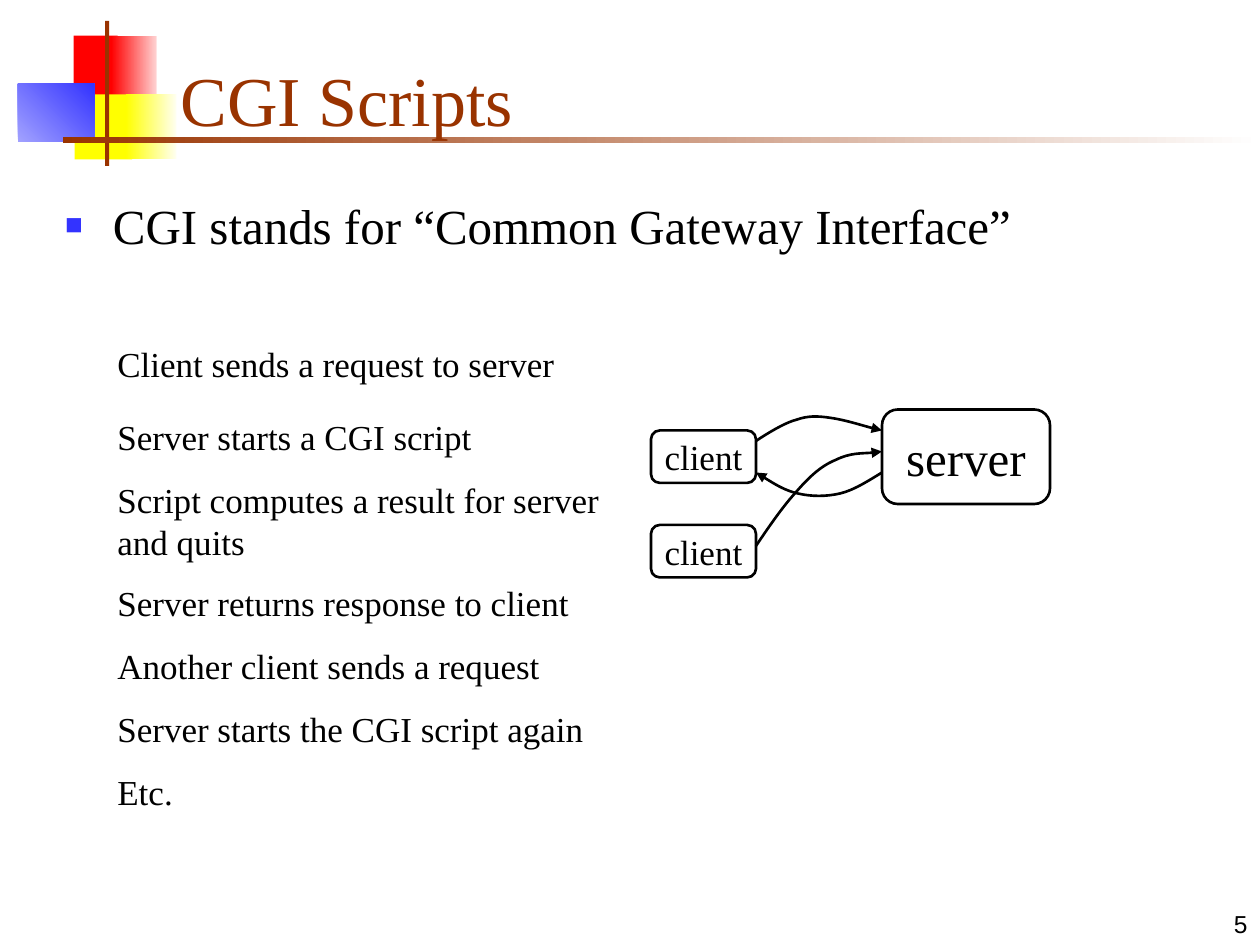
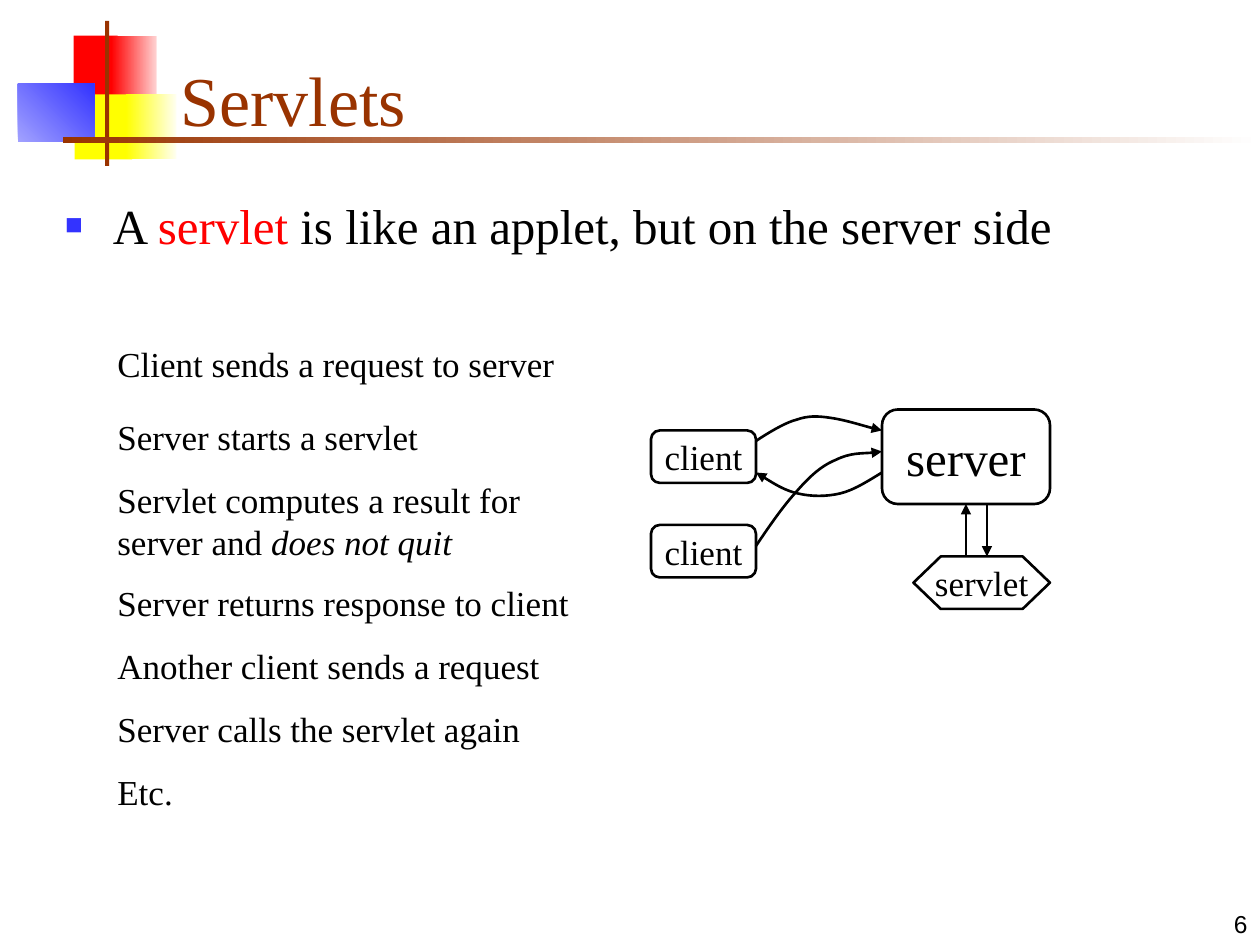
from typing import NamedTuple

from lxml import etree
from pptx import Presentation
from pptx.dml.color import RGBColor
from pptx.enum.shapes import MSO_CONNECTOR, MSO_SHAPE
from pptx.enum.text import MSO_ANCHOR, MSO_AUTO_SIZE, PP_ALIGN
from pptx.oxml.ns import qn
from pptx.util import Inches, Pt

RECTANGLE = MSO_SHAPE.RECTANGLE
ROUNDED = MSO_SHAPE.FLOWCHART_ALTERNATE_PROCESS
HEXAGON = MSO_SHAPE.FLOWCHART_PREPARATION
STRAIGHT = MSO_CONNECTOR.STRAIGHT
LEFT, CENTER, RIGHT = PP_ALIGN.LEFT, PP_ALIGN.CENTER, PP_ALIGN.RIGHT
TOP, MIDDLE, BOTTOM = MSO_ANCHOR.TOP, MSO_ANCHOR.MIDDLE, MSO_ANCHOR.BOTTOM

COLORS = {
    "ink": "000000", "white": "FFFFFF", "brown": "993300",
    "red": "FF0000", "pink": "FFD1D1", "yellow": "FFFF00", "cream": "FFFFF0",
    "blue": "3333FF", "lilac": "A2A2FF",
}
SERIF, SANS = "Times New Roman", "Arial"

# The slide is a grid of 120 columns by 90 rows
SLIDE_WIDTH, SLIDE_HEIGHT = Inches(10), Inches(7.5)
COLUMNS, ROWS = 120, 90
FIRST_PAGE = 5


class Area(NamedTuple):
    col: float
    row: float
    cols: float
    rows: float


class Run(NamedTuple):
    text: str
    color: str = "ink"
    italic: bool = False


class Ornament(NamedTuple):
    area: Area
    color: str
    fade_to: str = ""
    angle: int = 0


class Node(NamedTuple):
    label: str
    area: Area
    outline: int = ROUNDED
    size: int = 20


class Topic(NamedTuple):
    title: str
    definition: list[Run]
    steps: list[list[Run]]
    nodes: list[Node]
    arrows: list[tuple]


ORNAMENTS = [
    Ornament(Area(7, 3.4, 4.2, 6.2), "red"),
    Ornament(Area(10.6, 3.4, 4.3, 6.2), "red", "pink"),
    Ornament(Area(7.1, 9, 5.5, 6.2), "yellow"),
    Ornament(Area(12, 9, 4.8, 6.2), "yellow", "cream"),
    Ornament(Area(1.7, 8, 7.3, 5.5), "lilac", "blue", 45),
    Ornament(Area(10, 2, 0.4, 13.8), "brown"),
    Ornament(Area(6, 13, 114, 0.6), "brown", "white"),
]

TITLE_AREA = Area(16, 3, 102.2, 11)
DEFINITION_AREA = Area(5, 18, 112.5, 8.2)
PAGE_AREA = Area(95, 84, 25, 6)
LINE, TWO_LINES = 5.3, 9.2
STEP_AREAS = [
    Area(10, 32, 47, LINE),
    Area(10, 39, 47, LINE),
    Area(10, 45, 49, TWO_LINES),
    *(Area(10, 54.8 + 6 * i, 49 if i == 1 else 47, LINE) for i in range(4)),
]

EXCHANGE_NODES = [
    Node("client", Area(62, 41, 10, 5)),
    Node("server", Area(84, 39, 16, 9), size=28),
    Node("client", Area(62, 50, 10, 5)),
]
SERVLET_NODE = Node("servlet", Area(87, 53, 13, 5), HEXAGON)
SERVLET_ARROWS = [((92, 53), (92, 48)), ((94, 48), (94, 53))]

# Start point, then three Bezier points for each segment
EXCHANGE_CURVES = [
    [(72, 42), (72.6, 41.6), (74.6, 40.3), (75.8, 40),
     (76.9, 39.6), (77.8, 39.6), (79.1, 39.8),
     (80.5, 40), (83, 40.8), (84, 41)],
    [(84, 45), (82.7, 45.8), (81.3, 46.7), (80, 47),
     (78.7, 47.3), (77.3, 47.3), (76, 47),
     (74.7, 46.7), (73.3, 45.8), (72, 45)],
    [(72, 52), (72.6, 51.1), (74.4, 48.4), (75.7, 47),
     (76.9, 45.6), (78.1, 44.4), (79.6, 43.8),
     (81, 43.1), (83, 43.2), (84, 43)],
]


def exchange_steps(start: str, compute: list[Run], again: str) -> list[list[Run]]:
    """The seven steps; only the server's handling differs by topic."""
    return [
        [Run("Client sends a request to server")],
        [Run(start)],
        compute,
        [Run("Server returns response to client")],
        [Run("Another client sends a request")],
        [Run(again)],
        [Run("Etc.")],
    ]


TOPICS = [
    Topic(
        "CGI Scripts",
        [Run("CGI stands for “Common Gateway Interface”")],
        exchange_steps(
            "Server starts a CGI script",
            [Run("Script computes a result for server and quits")],
            "Server starts the CGI script again",
        ),
        EXCHANGE_NODES,
        [],
    ),
    Topic(
        "Servlets",
        [Run("A "), Run("servlet", "red"),
         Run(" is like an applet, but on the server side")],
        exchange_steps(
            "Server starts a servlet",
            [Run("Servlet computes a result for server and "),
             Run("does not quit", italic=True)],
            "Server calls the servlet again",
        ),
        [*EXCHANGE_NODES, SERVLET_NODE],
        SERVLET_ARROWS,
    ),
]


def rgb(name: str) -> RGBColor:
    return RGBColor.from_string(COLORS[name])


def point(col: float, row: float) -> tuple[int, int]:
    return round(SLIDE_WIDTH * col / COLUMNS), round(SLIDE_HEIGHT * row / ROWS)


def box(area: Area) -> tuple[int, int, int, int]:
    return *point(area.col, area.row), *point(area.cols, area.rows)


def place(shape, area: Area) -> None:
    shape.left, shape.top, shape.width, shape.height = box(area)


def write(frame, runs: list[Run], *, size: int, font: str = SERIF, align=LEFT,
          anchor=TOP, before: float = 0, wrap: bool = True):
    """Fill a text frame with one formatted paragraph and return it."""
    frame.word_wrap = wrap
    frame.auto_size = MSO_AUTO_SIZE.NONE
    frame.vertical_anchor = anchor
    paragraph = frame.paragraphs[0]
    paragraph.alignment = align
    paragraph.space_before = Pt(before)
    for part in runs:
        run = paragraph.add_run()
        run.text = part.text
        run.font.name, run.font.size = font, Pt(size)
        run.font.italic = part.italic
        run.font.color.rgb = rgb(part.color)
    return paragraph


def add_square_bullet(paragraph) -> None:
    properties = paragraph._p.get_or_add_pPr()
    indent = Inches(0.38)
    properties.set("marL", str(indent))
    properties.set("indent", str(-indent))
    color = etree.SubElement(properties, qn("a:buClr"))
    etree.SubElement(color, qn("a:srgbClr"), val=COLORS["blue"])
    etree.SubElement(properties, qn("a:buSzPct"), val="60000")
    etree.SubElement(properties, qn("a:buChar"), char="■")


def draw_line(shape, arrow: bool = False) -> None:
    shape.line.color.rgb = rgb("ink")
    shape.line.width = Pt(1.5)
    if arrow:
        outline = shape.element.xpath(".//a:ln")[0]
        etree.SubElement(outline, qn("a:tailEnd"), type="triangle")


def add_ornament(slide, ornament: Ornament):
    shape = slide.shapes.add_shape(RECTANGLE, *box(ornament.area))
    shape.shadow.inherit = False
    shape.line.fill.background()
    if ornament.fade_to:
        shape.fill.gradient()
        shape.fill.gradient_angle = ornament.angle
        ends = (ornament.color, ornament.fade_to)
        for position, (stop, name) in enumerate(zip(shape.fill.gradient_stops, ends)):
            stop.position = position
            stop.color.rgb = rgb(name)
    else:
        shape.fill.solid()
        shape.fill.fore_color.rgb = rgb(ornament.color)
    return shape


def decorate_layout(slide) -> None:
    """Put the ornaments on the slide's layout, behind its placeholders."""
    tree = slide.slide_layout.shapes.element
    for index, ornament in enumerate(ORNAMENTS):
        element = add_ornament(slide, ornament).element
        element.nvSpPr.cNvPr.set("id", str(100 + index))
        tree.insert(2 + index, element)


def add_node(slide, node: Node) -> None:
    shape = slide.shapes.add_shape(node.outline, *box(node.area))
    shape.shadow.inherit = False
    shape.fill.background()
    draw_line(shape)
    write(shape.text_frame, [Run(node.label)], size=node.size,
          align=CENTER, anchor=MIDDLE, wrap=False)


def add_curve(slide, points: list[tuple]) -> None:
    start, *rest = [point(*p) for p in points]
    builder = slide.shapes.build_freeform(*start)
    builder.add_line_segments(rest, close=False)
    curve = builder.convert_to_shape()
    curve.shadow.inherit = False
    curve.fill.background()
    draw_line(curve, arrow=True)
    # Join every three line ends into one Bezier segment
    segments = curve.element.xpath(".//a:lnTo")
    for i in range(0, len(segments), 3):
        bezier = etree.SubElement(segments[i].getparent(), qn("a:cubicBezTo"))
        for segment in segments[i:i + 3]:
            bezier.append(segment[0])
            segment.getparent().remove(segment)


def add_arrow(slide, start: tuple, end: tuple) -> None:
    arrow = slide.shapes.add_connector(STRAIGHT, *point(*start), *point(*end))
    draw_line(arrow, arrow=True)
    etree.SubElement(arrow.element.spPr, qn("a:effectLst"))


def add_text(slide, area: Area, runs: list[Run], **text_format) -> None:
    write(slide.shapes.add_textbox(*box(area)).text_frame, runs, **text_format)


def fill_slide(slide, topic: Topic, page: int) -> None:
    # Title and definition
    title, definition = slide.placeholders
    place(title, TITLE_AREA)
    write(title.text_frame, [Run(topic.title, "brown")], size=40, anchor=BOTTOM)
    place(definition, DEFINITION_AREA)
    add_square_bullet(write(definition.text_frame, topic.definition, size=28, before=7))

    # Steps of the exchange
    for area, runs in zip(STEP_AREAS, topic.steps):
        add_text(slide, area, runs, size=20, before=12.5)

    # Diagram
    for curve in EXCHANGE_CURVES:
        add_curve(slide, curve)
    for node in topic.nodes:
        add_node(slide, node)
    for start, end in topic.arrows:
        add_arrow(slide, start, end)

    # Page number
    add_text(slide, PAGE_AREA, [Run(str(page))], size=14, font=SANS,
             align=RIGHT, anchor=BOTTOM)


def main() -> None:
    deck = Presentation()
    deck.slide_width, deck.slide_height = SLIDE_WIDTH, SLIDE_HEIGHT
    layout = deck.slide_layouts[1]
    for page, topic in enumerate(TOPICS, FIRST_PAGE):
        slide = deck.slides.add_slide(layout)
        if page == FIRST_PAGE:
            decorate_layout(slide)
        fill_slide(slide, topic, page)
    deck.save("out.pptx")


if __name__ == "__main__":
    main()
